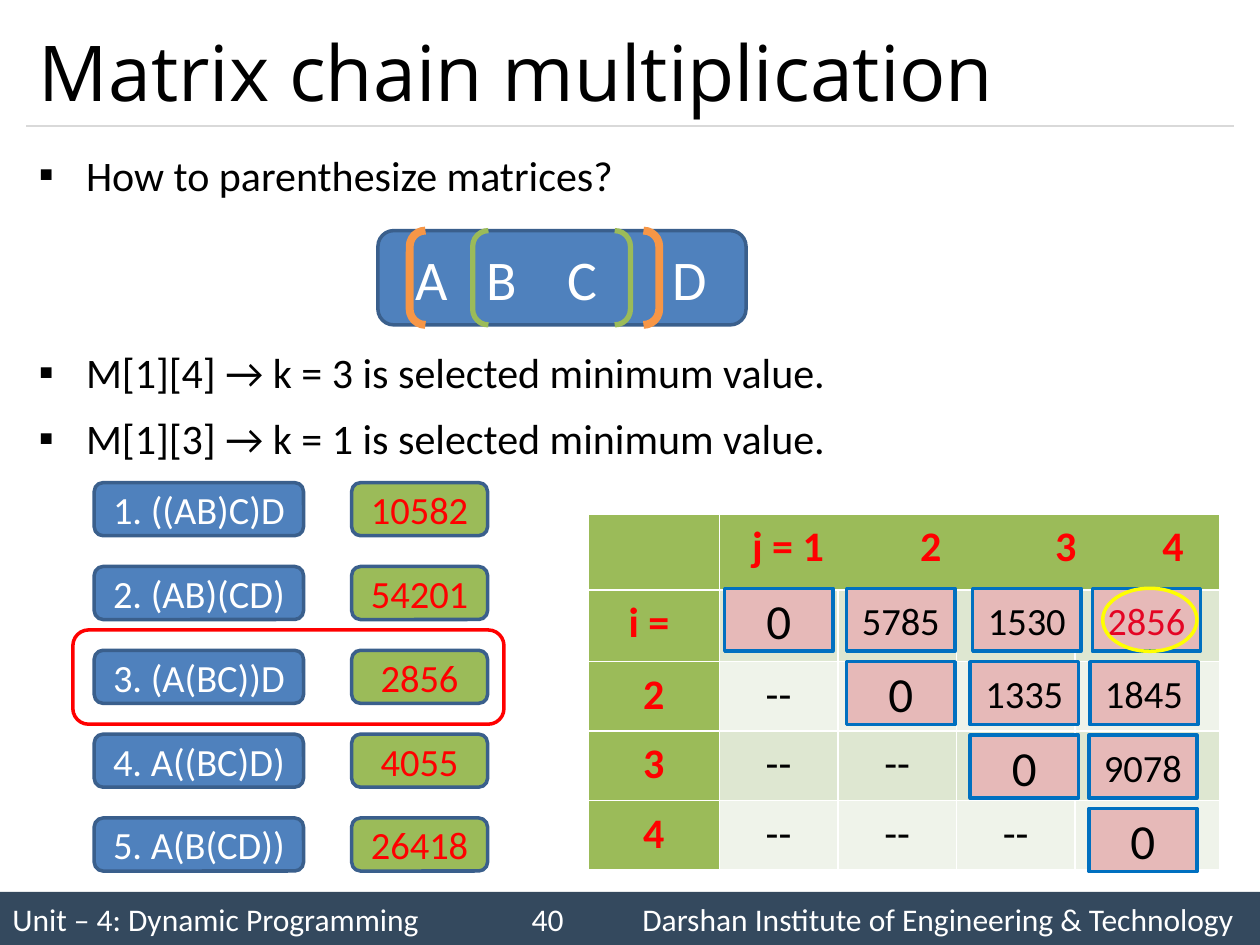
from lxml.etree import SubElement
from pptx import Presentation
from pptx.dml.color import RGBColor
from pptx.enum.shapes import MSO_CONNECTOR, MSO_SHAPE
from pptx.enum.text import MSO_ANCHOR, MSO_AUTO_SIZE, PP_ALIGN
from pptx.oxml.ns import qn
from pptx.util import Cm, Pt

BLACK = RGBColor(0x00, 0x00, 0x00)
WHITE = RGBColor(0xFF, 0xFF, 0xFF)
RED = RGBColor(0xFF, 0x00, 0x00)
CRIMSON = RGBColor(0xE4, 0x05, 0x24)
YELLOW = RGBColor(0xFF, 0xFF, 0x00)
ORANGE = RGBColor(0xF7, 0x96, 0x46)
GREEN = RGBColor(0x9B, 0xBB, 0x59)
BAND_DARK = RGBColor(0xDE, 0xE7, 0xD1)
BAND_LIGHT = RGBColor(0xEF, 0xF3, 0xEA)
BLUE = RGBColor(0x4F, 0x81, 0xBD)
BLUE_EDGE = RGBColor(0x3A, 0x5F, 0x8C)
PINK = RGBColor(0xE6, 0xB9, 0xB8)
COST_EDGE = RGBColor(0x00, 0x70, 0xC0)
SLATE = RGBColor(0x34, 0x49, 0x5E)
RULE_GRAY = RGBColor(0xD9, 0xD9, 0xD9)

TITLE = "Matrix chain multiplication"
BULLETS = [
    ("How to parenthesize matrices?", 0),
    ("M[1][4] → k = 3 is selected minimum value.", 80),
    ("M[1][3] → k = 1 is selected minimum value.", 4.8),
]
MATRICES, MATRIX_TABS = "A\tB\tC\tD", (1.43, 3.07, 5.18)
BRACKETS = [(8.26, 5.03, ORANGE, 4.5), (9.53, 3.18, GREEN, 3)]
ORDERS = [
    ("1. ((AB)C)D", "10582"),
    ("2. (AB)(CD)", "54201"),
    ("3. (A(BC))D", "2856"),
    ("4. A((BC)D)", "4055"),
    ("5. A(B(CD))", "26418"),
]
HEADER, HEADER_TABS = "j = 1\t2\t3\t4", (3.39, 6.11, 8.27)
GRID = [
    ["i = ", "", "", "", ""],
    ["2", "--", "", "", ""],
    ["3", "--", "--", "", ""],
    ["4", "--", "--", "--", ""],
]
COLUMN_WIDTHS = [2.64, 2.39, 2.39, 2.39, 2.92]
ROW_HEIGHTS = [1.52, 1.45, 1.4, 1.4, 1.4]
COSTS = [
    [(14.61, "0"), (17.07, "5785"), (19.61, "1530"), (22.02, "2856")],
    [(17.07, "0"), (19.56, "1335"), (21.97, "1845")],
    [(19.56, "0"), (21.95, "9078")],
    [(21.95, "0")],
]
BEST = "2856"
FOOTER = "Unit – 4: Dynamic Programming\t40\tDarshan Institute of Engineering & Technology"
FOOTER_TABS = (10.47, 12.7)


def write(para, text, size, color, align=PP_ALIGN.CENTER, font="Calibri", bold=False):
    para.alignment = align
    span = para.add_run()
    span.text = text
    span.font.name = font
    span.font.size = Pt(size)
    span.font.bold = bold
    span.font.color.rgb = color


def add_tabs(para, stops):
    tab_list = SubElement(para._p.get_or_add_pPr(), qn("a:tabLst"))
    for stop in stops:
        SubElement(tab_list, qn("a:tab"), pos=str(int(Cm(stop))), algn="l")


def add_box(page, kind, place, fill=None, edge=None, weight=2):
    box = page.shapes.add_shape(kind, *(Cm(length) for length in place))
    box.shadow.inherit = False
    if fill is None:
        box.fill.background()
    else:
        box.fill.solid()
        box.fill.fore_color.rgb = fill
    if edge is None:
        box.line.fill.background()
    else:
        box.line.color.rgb = edge
        box.line.width = Pt(weight)
    box.text_frame.vertical_anchor = MSO_ANCHOR.MIDDLE
    return box


def place_text(holder, left, top, width, height, anchor):
    holder.left, holder.top = Cm(left), Cm(top)
    holder.width, holder.height = Cm(width), Cm(height)
    holder.text_frame.auto_size = MSO_AUTO_SIZE.NONE
    holder.text_frame.vertical_anchor = anchor
    return holder.text_frame


def add_frame(page):
    footer = add_box(page, MSO_SHAPE.RECTANGLE, (0, 17.98, 25.4, 1.07), SLATE)
    para = footer.text_frame.paragraphs[0]
    add_tabs(para, FOOTER_TABS)
    write(para, FOOTER, 18, WHITE, PP_ALIGN.LEFT)
    rule = page.shapes.add_connector(
        MSO_CONNECTOR.STRAIGHT, Cm(0.53), Cm(2.54), Cm(24.87), Cm(2.54))
    rule.line.color.rgb = RULE_GRAY
    rule.line.width = Pt(0.75)
    SubElement(rule._element.spPr, qn("a:effectLst"))


def add_text(page):
    title = place_text(page.shapes.title, 0.53, 0.3, 24.33, 2.24, MSO_ANCHOR.MIDDLE)
    write(title.paragraphs[0], TITLE, 44, BLACK, PP_ALIGN.LEFT, "Open Sans")
    body = place_text(page.placeholders[1], 0.53, 2.74, 24.33, 14.81, MSO_ANCHOR.TOP)
    for index, (text, gap) in enumerate(BULLETS):
        para = body.add_paragraph() if index else body.paragraphs[0]
        properties = para._p.get_or_add_pPr()
        properties.set("marL", str(int(Cm(0.95))))
        properties.set("indent", str(int(Cm(-0.95))))
        SubElement(properties, qn("a:buFont"), typeface="Wingdings")
        properties[-1].set("typeface", "Calibri")
        SubElement(properties, qn("a:buChar"), char="▪")
        para.line_spacing = 1.14
        para.space_before = Pt(gap)
        write(para, text, 24, BLACK, PP_ALIGN.JUSTIFY)


def add_chain(page):
    chain = add_box(page, MSO_SHAPE.ROUNDED_RECTANGLE, (7.62, 4.65, 7.42, 1.9), BLUE, BLUE_EDGE)
    chain.text_frame.margin_left = Cm(0.66)
    para = chain.text_frame.paragraphs[0]
    add_tabs(para, MATRIX_TABS)
    write(para, MATRICES, 32, WHITE, PP_ALIGN.LEFT)
    for left, width, color, weight in BRACKETS:
        add_box(page, MSO_SHAPE.DOUBLE_BRACKET, (left, 4.65, width, 1.9), None, color, weight)


def add_orders(page):
    for index, (order, cost) in enumerate(ORDERS):
        top = 9.73 + 1.69 * index
        for left, width, text, fill, color in (
                (1.9, 4.22, order, BLUE, WHITE), (7.09, 2.74, cost, GREEN, RED)):
            box = add_box(page, MSO_SHAPE.ROUNDED_RECTANGLE,
                          (left, top, width, 1.07), fill, BLUE_EDGE)
            write(box.text_frame.paragraphs[0], text, 22, color)
    add_box(page, MSO_SHAPE.ROUNDED_RECTANGLE, (1.47, 12.7, 8.69, 1.9), None, RED)


def fill_cell(cell, fill, text="", color=RED, bold=True, stops=()):
    cell.fill.solid()
    cell.fill.fore_color.rgb = fill
    cell.margin_left = cell.margin_right = Cm(0.18)
    cell.margin_top = cell.margin_bottom = 0
    if text:
        para = cell.text_frame.paragraphs[0]
        if stops:
            cell.margin_left = Cm(0.66)
            add_tabs(para, stops)
        para.line_spacing = 1.15
        write(para, text, 24, color, PP_ALIGN.LEFT if stops else PP_ALIGN.CENTER, bold=bold)


def add_cost_table(page):
    table = page.shapes.add_table(
        len(ROW_HEIGHTS), len(COLUMN_WIDTHS), Cm(11.86), Cm(10.37),
        Cm(sum(COLUMN_WIDTHS)), Cm(sum(ROW_HEIGHTS))).table
    for column, width in zip(table.columns, COLUMN_WIDTHS):
        column.width = Cm(width)
    for row, height in zip(table.rows, ROW_HEIGHTS):
        row.height = Cm(height)
    table.cell(0, 1).merge(table.cell(0, 4))
    fill_cell(table.cell(0, 0), GREEN)
    fill_cell(table.cell(0, 1), GREEN, HEADER, stops=HEADER_TABS)
    for row, texts in enumerate(GRID, 1):
        band = BAND_DARK if row % 2 else BAND_LIGHT
        fill_cell(table.cell(row, 0), GREEN, texts[0])
        for column, text in enumerate(texts[1:], 1):
            fill_cell(table.cell(row, column), band, text, BLACK, False)

    for row, costs in enumerate(COSTS):
        for left, cost in costs:
            box = add_box(page, MSO_SHAPE.RECTANGLE,
                          (left, 11.86 + 1.48 * row, 2.18, 1.27), PINK, COST_EDGE)
            write(box.text_frame.paragraphs[0], cost, 28 if cost == "0" else 22,
                  CRIMSON if cost == BEST else BLACK)
    add_box(page, MSO_SHAPE.OVAL, (22.23, 11.86, 1.9, 1.27), None, YELLOW)


def main():
    deck = Presentation()
    deck.slide_width, deck.slide_height = Cm(25.4), Cm(19.05)
    page = deck.slides.add_slide(deck.slide_layouts[1])
    add_frame(page)
    add_text(page)
    add_chain(page)
    add_orders(page)
    add_cost_table(page)
    deck.save("out.pptx")


if __name__ == "__main__":
    main()
